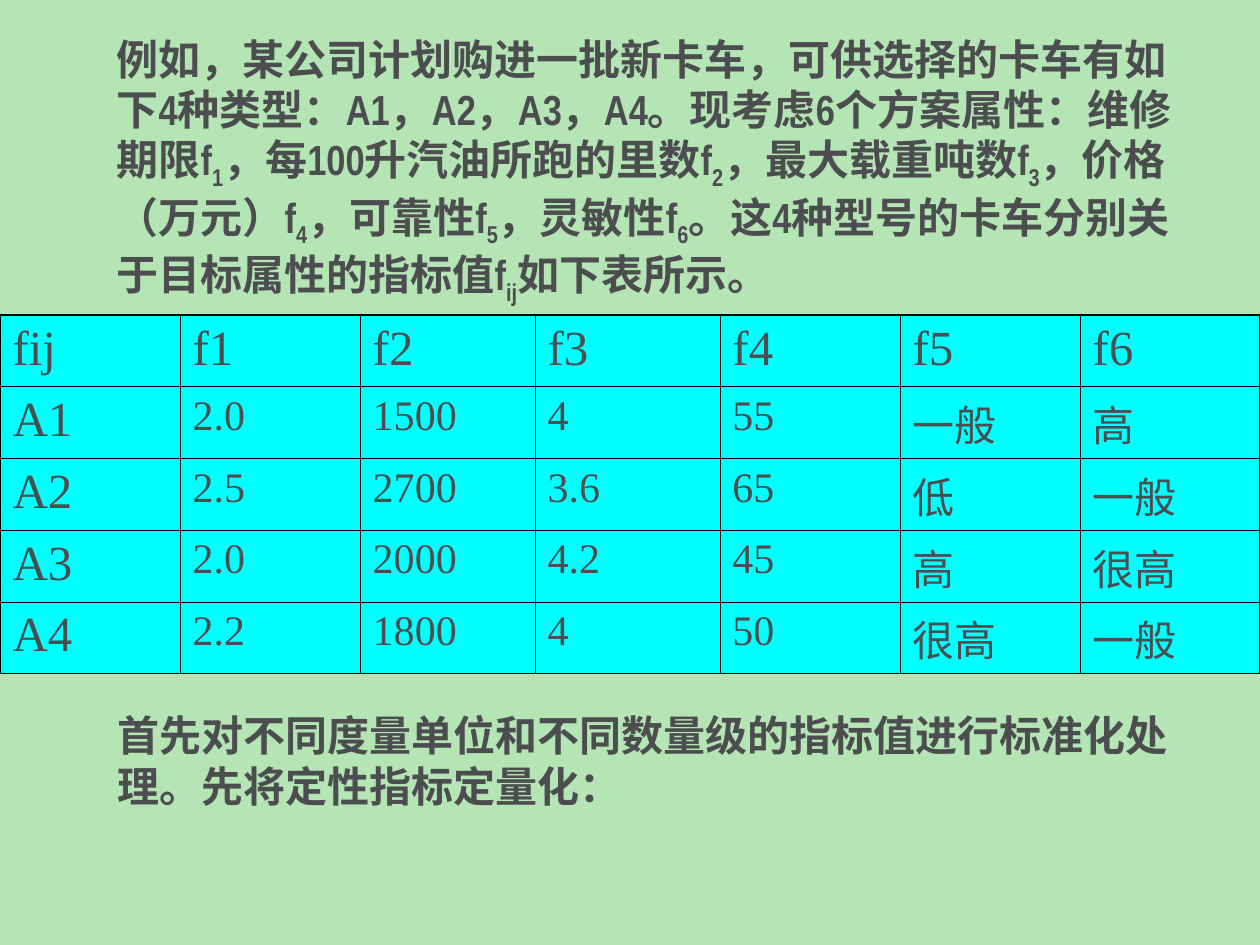
from dataclasses import dataclass

from pptx import Presentation
from pptx.dml.color import RGBColor
from pptx.enum.text import MSO_AUTO_SIZE
from pptx.oxml import parse_xml
from pptx.oxml.ns import nsdecls
from pptx.util import Pt

GROW = MSO_AUTO_SIZE.SHAPE_TO_FIT_TEXT


@dataclass(frozen=True)
class Theme:
    """Colours, fonts, type sizes and line widths of the slide."""
    back: str = "B5E5B5"
    ink: str = "4B4D4F"
    cell: str = "00FFFF"
    rule: str = "000000"
    prose: str = "Arial Narrow"
    grid: str = "Times New Roman"
    body: int = 24
    head: int = 28
    thin: float = 0.45
    thick: float = 1.08


THEME = Theme()
INTRO = (
    "例如，某公司计划购进一批新卡车，可供选择的卡车有如下4种类型：A1，A2，A3，A4。"
    "现考虑6个方案属性：维修期限f|1|，每100升汽油所跑的里数f|2|，最大载重吨数f|3|，"
    "价格（万元）f|4|，可靠性f|5|，灵敏性f|6|。"
    "这4种型号的卡车分别关于目标属性的指标值f|ij|如下表所示。"
)
NEXT = "首先对不同度量单位和不同数量级的指标值进行标准化处理。先将定性指标定量化："
ROWS = [
    ["fij", "f1", "f2", "f3", "f4", "f5", "f6"],
    ["A1", "2.0", "1500", "4", "55", "一般", "高"],
    ["A2", "2.5", "2700", "3.6", "65", "低", "一般"],
    ["A3", "2.0", "2000", "4.2", "45", "高", "很高"],
    ["A4", "2.2", "1800", "4", "50", "很高", "一般"],
]
WIDTHS = [102.9, 102.9, 100, 105.6, 102.9, 102.9, 102.8]
HEIGHT = 41


def style(para, name, size, bold=False):
    """Set the font of a whole paragraph."""
    font = para.font
    font.name, font.size, font.bold = name, Pt(size), bold
    font.color.rgb = RGBColor.from_string(THEME.ink)


def add_prose(slide, text, left, top, width, height):
    """Add a bold text box; every second part between bars is a subscript."""
    box = slide.shapes.add_textbox(Pt(left), Pt(top), Pt(width), Pt(height))
    frame = box.text_frame
    frame.word_wrap = True
    frame.auto_size = GROW
    para = frame.paragraphs[0]
    para._p.get_or_add_pPr().set("hangingPunct", "0")
    style(para, THEME.prose, THEME.body, True)
    for i, part in enumerate(text.split("|")):
        run = para.add_run()
        run.text = part
        if i % 2:
            run._r.get_or_add_rPr().set("baseline", "-25000")


def add_rules(cell, outer):
    """Draw the four borders of a cell, thick on the outer sides."""
    props = cell._tc.get_or_add_tcPr()
    for side in "LRTB":
        width = Pt(THEME.thick if side in outer else THEME.thin)
        props.append(parse_xml(
            f'<a:ln{side} {nsdecls("a")} w="{width}"><a:solidFill>'
            f'<a:srgbClr val="{THEME.rule}"/></a:solidFill></a:ln{side}>'))


def fill_cell(cell, text, size, outer):
    """Write one cell with its borders and fill."""
    cell.text = text
    style(cell.text_frame.paragraphs[0], THEME.grid, size)
    add_rules(cell, outer)
    cell.fill.solid()
    cell.fill.fore_color.rgb = RGBColor.from_string(THEME.cell)


def add_grid(slide, left, top):
    """Add the table of index values."""
    rows, cols = len(ROWS), len(WIDTHS)
    table = slide.shapes.add_table(
        rows, cols, Pt(left), Pt(top), Pt(sum(WIDTHS)), Pt(HEIGHT * rows)).table
    table.first_row = table.horz_banding = False
    for col, width in zip(table.columns, WIDTHS):
        col.width = Pt(width)
    for r, row in enumerate(ROWS):
        table.rows[r].height = Pt(HEIGHT)
        for c, text in enumerate(row):
            edges = {"L": c == 0, "R": c == cols - 1,
                     "T": r == 0, "B": r == rows - 1}
            outer = [side for side, edge in edges.items() if edge]
            size = THEME.body if r and c else THEME.head
            fill_cell(table.cell(r, c), text, size, outer)


def main():
    """Build and save the slide."""
    deck = Presentation()
    deck.slide_width, deck.slide_height = Pt(720), Pt(540)
    slide = deck.slides.add_slide(deck.slide_layouts[6])
    back = slide.background.fill
    back.solid()
    back.fore_color.rgb = RGBColor.from_string(THEME.back)
    add_prose(slide, INTRO, 59.6, 15.4, 630, 163.5)
    add_grid(slide, 0, 180)
    add_prose(slide, NEXT, 60, 402, 660, 65)
    deck.save("out.pptx")


if __name__ == "__main__":
    main()
